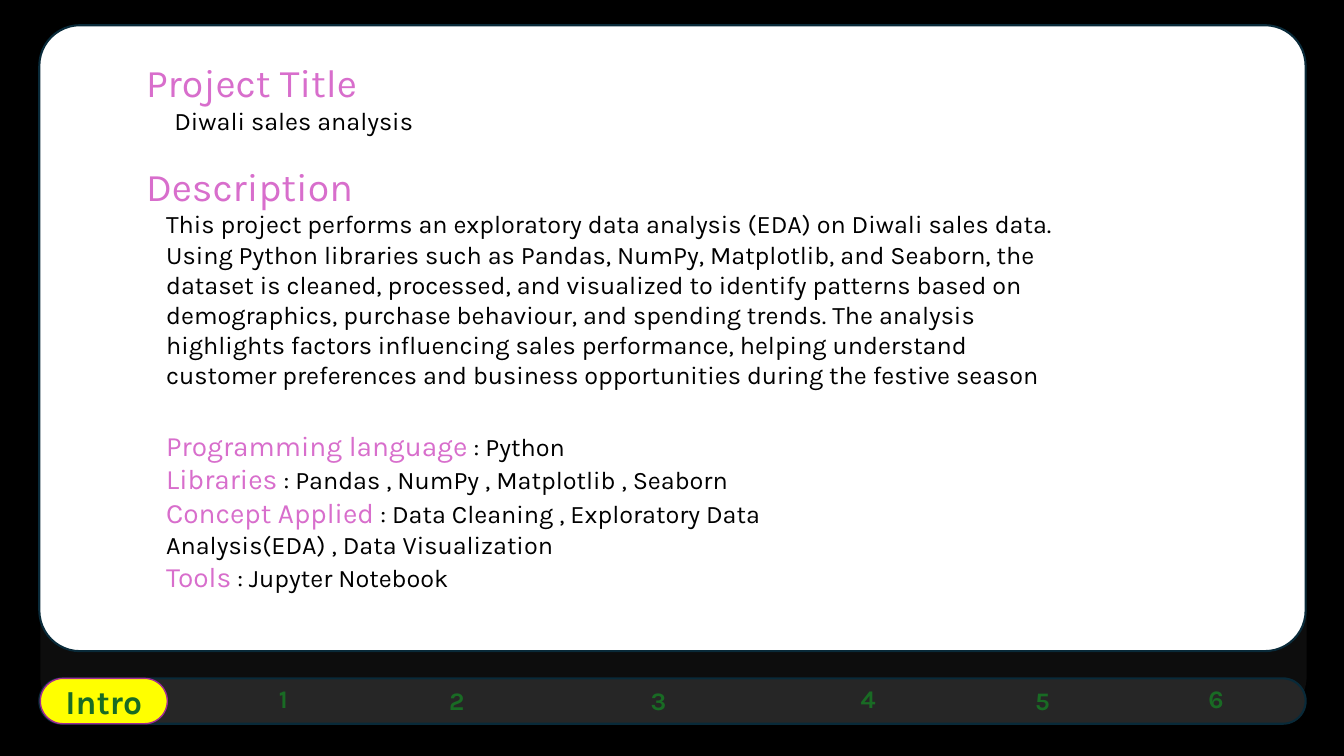
from pptx import Presentation
from pptx.dml.color import RGBColor
from pptx.enum.shapes import MSO_SHAPE
from pptx.enum.text import MSO_ANCHOR, MSO_AUTO_SIZE, PP_ALIGN
from pptx.util import Pt

PX = 9144
FONT = "Karla"
COLORS = {
    "black": "000000",
    "white": "FFFFFF",
    "backdrop": "0D0D0D",
    "bar": "262626",
    "outline": "092A39",
    "active": "FFFF00",
    "active_line": "A02B93",
    "green": "196B24",
    "pink": "D86ECC",
}
DESCRIPTION = (
    "This project performs an exploratory data analysis (EDA) on Diwali sales data. "
    "Using Python libraries such as Pandas, NumPy, Matplotlib, and Seaborn, the "
    "dataset is cleaned, processed, and visualized to identify patterns based on "
    "demographics, purchase behaviour, and spending trends. The analysis "
    "highlights factors influencing sales performance, helping understand "
    "customer preferences and business opportunities during the festive season"
)
DETAILS = [
    ("Programming language", "Python"),
    ("Libraries", "Pandas , NumPy , Matplotlib , Seaborn"),
    ("Concept Applied", "Data Cleaning , Exploratory Data Analysis(EDA) , Data Visualization"),
    ("Tools", "Jupyter Notebook"),
]
PAGE_TABS = [(185, 0), (357, 2), (557, 2), (765, 0), (938, 2), (1110, 0)]


def color(name):
    """Return the named colour."""
    return RGBColor.from_string(COLORS[name])


def add_panel(slide, box, fill, radius, line=None, weight=1.5):
    """Draw a rounded rectangle in the box."""
    shape = slide.shapes.add_shape(
        MSO_SHAPE.ROUNDED_RECTANGLE, *(length * PX for length in box)
    )
    shape.adjustments[0] = radius
    shape.shadow.inherit = False
    shape.fill.solid()
    shape.fill.fore_color.rgb = color(fill)
    if line:
        shape.line.color.rgb = color(line)
        shape.line.width = Pt(weight)
    else:
        shape.line.fill.background()
    return shape


def add_text_box(slide, box):
    """Add a wrapping text box and return its text frame."""
    frame = slide.shapes.add_textbox(*(length * PX for length in box)).text_frame
    frame.word_wrap = True
    frame.auto_size = MSO_AUTO_SIZE.SHAPE_TO_FIT_TEXT
    return frame


def write(paragraph, text, size=18, ink="black", bold=False, align=None, indent=0):
    """Append formatted text to a paragraph."""
    run = paragraph.add_run()
    run.text = text
    run.font.name = FONT
    run.font.size = Pt(size)
    run.font.bold = bold
    run.font.color.rgb = color(ink)
    if align is not None:
        paragraph.alignment = align
    if indent:
        paragraph._p.get_or_add_pPr().set("marL", str(indent * PX))


def draw_navigation(slide, box):
    """Draw the bar with the active tab and the page numbers."""
    left, top, width, height = box
    add_panel(slide, box, "bar", 0.5, "outline")
    active = add_panel(slide, (left + 1, top, 126, height), "active", 0.5, "active_line", 1)
    active.text_frame.vertical_anchor = MSO_ANCHOR.MIDDLE
    write(active.text_frame.paragraphs[0], "Intro", size=24, ink="green", bold=True,
          align=PP_ALIGN.CENTER)
    for number, (across, down) in enumerate(PAGE_TABS, 1):
        frame = add_text_box(slide, (left + across, top + down, 114, 40))
        write(frame.paragraphs[0], str(number), ink="green", bold=True,
              align=PP_ALIGN.CENTER)


def draw_content(slide, box):
    """Draw the white panel with the title, description and details."""
    left, top, width, height = box
    add_panel(slide, box, "white", 0.065, "outline")

    title = add_text_box(slide, (left + 96, top + 28, 575, 88))
    write(title.paragraphs[0], "Project Title", size=28, ink="pink")
    write(title.add_paragraph(), "Diwali sales analysis", indent=28)

    description = add_text_box(slide, (left + 116, top + 177, 923, 192))
    write(description.paragraphs[0], DESCRIPTION)

    heading = add_text_box(slide, (left + 96, top + 131, 239, 57))
    write(heading.paragraphs[0], "Description", size=28, ink="pink")

    details = add_text_box(slide, (left + 116, top + 395, 702, 205))
    for index, (label, value) in enumerate(DETAILS):
        paragraph = details.add_paragraph() if index else details.paragraphs[0]
        write(paragraph, label, size=20, ink="pink")
        write(paragraph, f" : {value}")


def main():
    """Build and save the presentation."""
    presentation = Presentation()
    presentation.slide_width = 1333 * PX
    presentation.slide_height = 750 * PX
    slide = presentation.slides.add_slide(presentation.slide_layouts[6])
    slide.background.fill.solid()
    slide.background.fill.fore_color.rgb = color("black")
    add_panel(slide, (40, 38, 1256, 680), "backdrop", 0.07)
    draw_navigation(slide, (39, 673, 1256, 45))
    draw_content(slide, (39, 25, 1256, 621))
    presentation.save("out.pptx")


if __name__ == "__main__":
    main()
